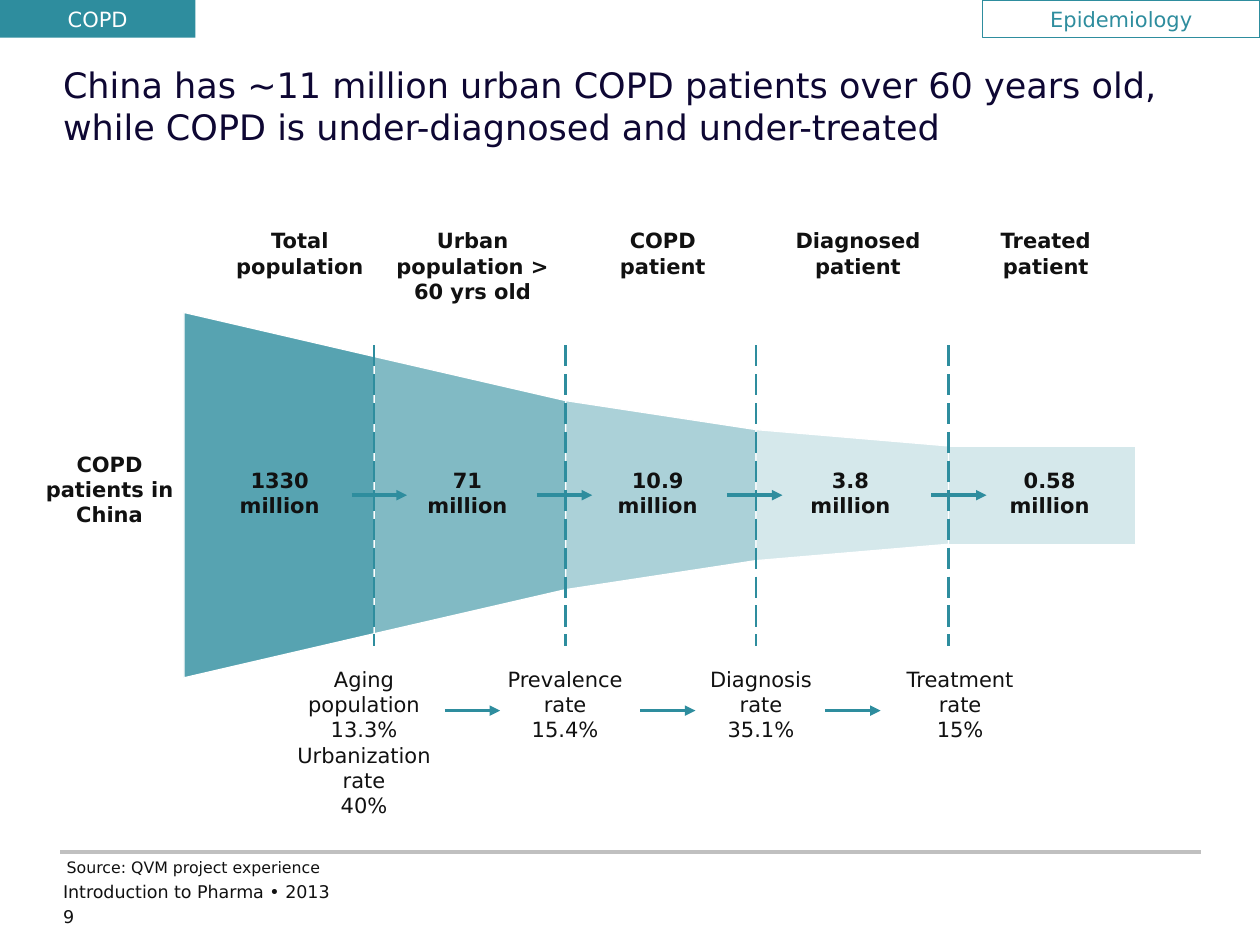
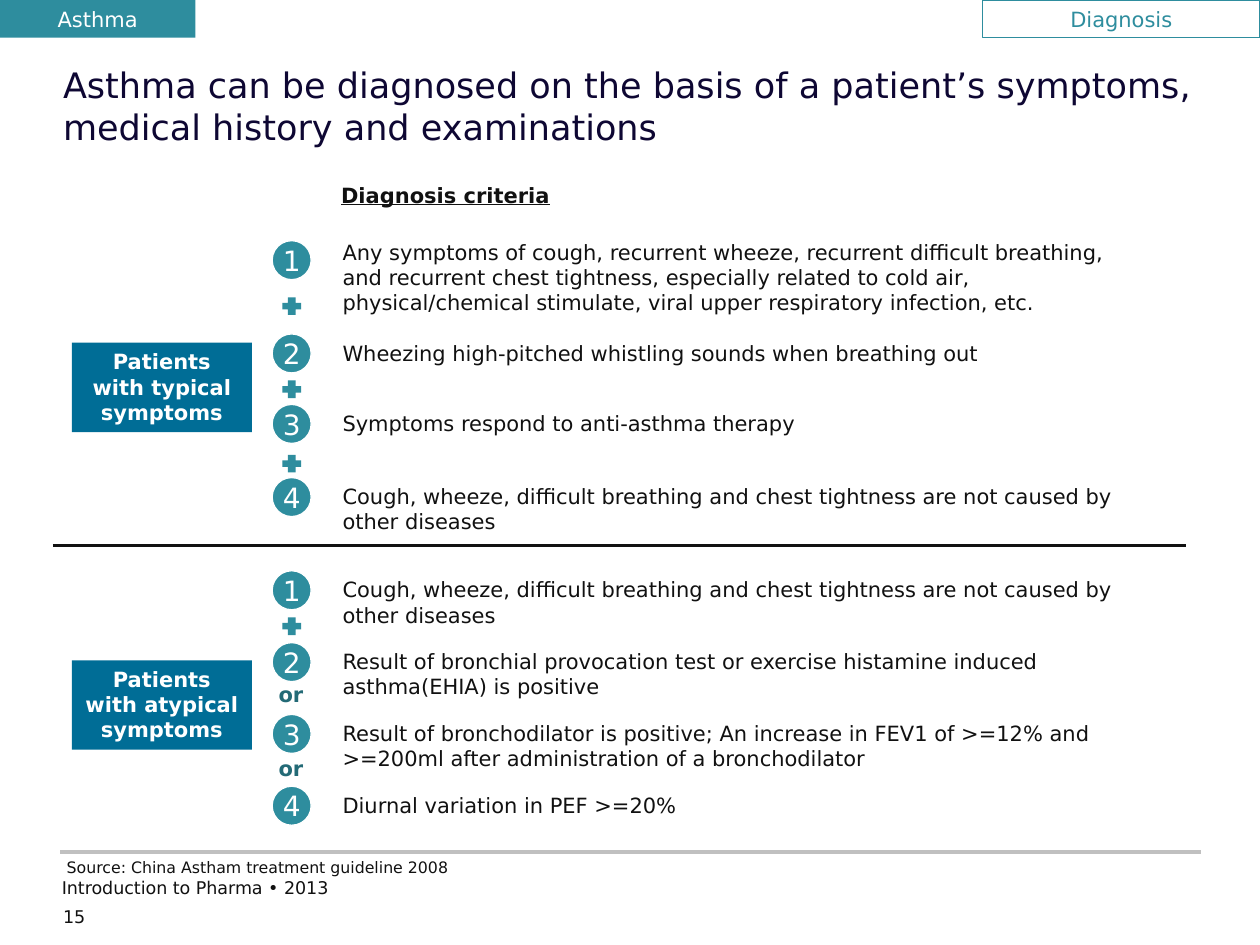
from dataclasses import dataclass
from itertools import pairwise

from lxml import etree
from pptx import Presentation
from pptx.dml.color import RGBColor
from pptx.enum.dml import MSO_LINE
from pptx.enum.shapes import MSO_CONNECTOR, MSO_SHAPE
from pptx.enum.text import MSO_ANCHOR, MSO_AUTO_SIZE, PP_ALIGN
from pptx.oxml.ns import qn
from pptx.util import Inches, Pt

RECT, OVAL, CROSS = MSO_SHAPE.RECTANGLE, MSO_SHAPE.OVAL, MSO_SHAPE.CROSS
LEFT, CENTER = PP_ALIGN.LEFT, PP_ALIGN.CENTER
TOP, MIDDLE = MSO_ANCHOR.TOP, MSO_ANCHOR.MIDDLE
STRAIGHT, LONG_DASH = MSO_CONNECTOR.STRAIGHT, MSO_LINE.LONG_DASH
TITLE_ONLY = 5


@dataclass(frozen=True)
class Theme:
    font: str = "DejaVu Sans"
    teal: str = "2E8D9E"
    dark_teal: str = "236A76"
    blue: str = "006D96"
    navy: str = "0E0733"
    ink: str = "111111"
    white: str = "FFFFFF"
    grey: str = "C0C0C0"
    title: int = 20
    number: int = 16
    body: int = 12
    footer: int = 10
    source: int = 9


T = Theme()


@dataclass(frozen=True)
class Frame:
    title: str
    topic: str
    section: str
    source: str
    page: str
    footer_left: float
    footer_top: float


@dataclass(frozen=True)
class Stage:
    heading: str
    heading_center: float
    heading_width: float
    value: str
    value_left: float
    opacity: int


@dataclass(frozen=True)
class Edge:
    x: float
    half_height: float


@dataclass(frozen=True)
class Rate:
    text: str
    left: float
    width: float
    height: float = 0.71


@dataclass(frozen=True)
class Criterion:
    text: str
    top: float
    height: float = 0.5
    circle_drop: float = 0.0
    joiner: str = ""
    joiner_top: float = 0.0


@dataclass(frozen=True)
class PatientGroup:
    label: str
    label_top: float
    criteria: tuple[Criterion, ...]


COPD = Frame(
    "China has ~11 million urban COPD patients over 60 years old, "
    "while COPD is under-diagnosed and under-treated",
    "COPD", "Epidemiology", "Source: QVM project experience", "9", 0.5, 6.99)
ASTHMA = Frame(
    "Asthma can be diagnosed on the basis of a patient’s symptoms, "
    "medical history and examinations",
    "Asthma", "Diagnosis", "Source: China Astham treatment guideline 2008",
    "15", 0.49, 6.96)

STAGES = (
    Stage("Total population", 2.38, 1.42, "1330 million", 1.73, 80),
    Stage("Urban population > 60 yrs old", 3.75, 1.42, "71 million", 3.22, 60),
    Stage("COPD patient", 5.26, 1.42, "10.9 million", 4.73, 40),
    Stage("Diagnosed patient", 6.81, 1.42, "3.8 million", 6.26, 20),
    Stage("Treated patient", 8.3, 1.53, "0.58 million", 7.84, 20),
)
EDGES = (Edge(1.46, 1.45), Edge(2.97, 1.1), Edge(4.49, 0.75),
         Edge(6, 0.52), Edge(7.53, 0.39), Edge(9.01, 0.39))
RATES = (
    Rate("Aging population\n13.3%\nUrbanization rate\n40%", 2.11, 1.56, 1.31),
    Rate("Prevalence rate\n15.4%", 3.78, 1.41),
    Rate("Diagnosis rate\n35.1%", 5.37, 1.34),
    Rate("Treatment rate\n15%", 6.98, 1.28),
)
FUNNEL_MIDDLE = 3.93
ARROW_LENGTH = 0.44
ARROWS = {FUNNEL_MIDDLE: (2.79, 4.26, 5.77, 7.39), 5.64: (3.53, 5.08, 6.55)}

OTHER_DISEASES = ("Cough, wheeze, difficult breathing and chest tightness "
                  "are not caused by other diseases")
GROUPS = (
    PatientGroup("Patients with typical symptoms", 2.72, (
        Criterion("Any symptoms of cough, recurrent wheeze, recurrent difficult "
                  "breathing, and recurrent chest tightness, especially related "
                  "to cold air, physical/chemical stimulate, viral upper "
                  "respiratory infection, etc.", 1.85, 0.71, 0.06, "+", 2.36),
        Criterion("Wheezing high-pitched whistling sounds when breathing out",
                  2.65, 0.3, joiner="+", joiner_top=3.02),
        Criterion("Symptoms respond to anti-asthma therapy",
                  3.21, 0.3, joiner="+", joiner_top=3.61),
        Criterion(OTHER_DISEASES, 3.79),
    )),
    PatientGroup("Patients with atypical symptoms", 5.24, (
        Criterion(OTHER_DISEASES, 4.53, joiner="+", joiner_top=4.9),
        Criterion("Result of bronchial provocation test or exercise histamine "
                  "induced asthma(EHIA) is positive",
                  5.1, joiner="or", joiner_top=5.36),
        Criterion("Result of bronchodilator is positive; An increase in FEV1 of "
                  ">=12% and >=200ml after administration of a bronchodilator",
                  5.67, joiner="or", joiner_top=5.95),
        Criterion("Diurnal variation in PEF >=20%", 6.24, 0.3),
    )),
)


def write(sp, text: str, size: int = T.body, color: str = T.ink,
          align=LEFT, anchor=TOP, inset: bool = True, **style) -> None:
    tf = sp.text_frame
    frame_format = {"word_wrap": True, "auto_size": MSO_AUTO_SIZE.NONE,
                    "vertical_anchor": anchor}
    if not inset:
        frame_format |= dict.fromkeys(
            ("margin_left", "margin_top", "margin_right", "margin_bottom"), 0)
    for name, value in frame_format.items():
        setattr(tf, name, value)
    font_format = {"name": T.font, "size": Pt(size)} | style
    for i, line in enumerate(text.split("\n")):
        p = tf.add_paragraph() if i else tf.paragraphs[0]
        p.alignment = align
        r = p.add_run()
        r.text = line
        for name, value in font_format.items():
            setattr(r.font, name, value)
        r.font.color.rgb = RGBColor.from_string(color)


def add_text(slide, box: tuple, text: str, **style) -> None:
    write(slide.shapes.add_textbox(*map(Inches, box)), text, **style)


def paint(sp, fill: str = "", line: str = "", opacity: int = 100) -> None:
    sp.shadow.inherit = False
    if fill:
        sp.fill.solid()
        sp.fill.fore_color.rgb = RGBColor.from_string(fill)
        if opacity < 100:
            color = sp.fill._xPr.find(qn("a:solidFill"))[0]
            etree.SubElement(color, qn("a:alpha"), val=str(opacity * 1000))
    else:
        sp.fill.background()
    if line:
        sp.line.color.rgb = RGBColor.from_string(line)
        sp.line.width = Pt(0.75)
    else:
        sp.line.fill.background()


def add_box(slide, kind, box: tuple, fill: str = "", line: str = ""):
    sp = slide.shapes.add_shape(kind, *map(Inches, box))
    paint(sp, fill, line)
    return sp


def add_line(slide, ends: tuple, color: str, width: float,
             dash=None, arrow: bool = False) -> None:
    sp = slide.shapes.add_connector(STRAIGHT, *map(Inches, ends))
    sp.line.color.rgb = RGBColor.from_string(color)
    sp.line.width = Pt(width)
    if dash:
        sp.line.dash_style = dash
    if arrow:
        etree.SubElement(sp.line._get_or_add_ln(), qn("a:tailEnd"),
                         type="triangle")
    etree.SubElement(sp._element.spPr, qn("a:effectLst"))


def add_frame(prs, frame: Frame):
    slide = prs.slides.add_slide(prs.slide_layouts[TITLE_ONLY])
    sp = slide.shapes.title
    title_box = {"left": 0.5, "top": 0.5, "width": 9, "height": 1}
    for name, value in title_box.items():
        setattr(sp, name, Inches(value))
    write(sp, frame.title, size=T.title, color=T.navy, inset=False)

    add_line(slide, (0.48, 6.76, 9.53, 6.76), T.grey, 2)
    add_text(slide, (0.53, 6.81, 6, 0.15), frame.source,
             size=T.source, inset=False)
    add_text(slide, (frame.footer_left, frame.footer_top, 6.68, 0.23),
             "Introduction to Pharma • 2013", size=T.footer, inset=False)
    add_text(slide, (0.5, 7.19, 0.48, 0.2), frame.page,
             size=T.footer, inset=False)

    sp = add_box(slide, RECT, (7.8, 0, 2.2, 0.3), line=T.teal)
    write(sp, frame.section, color=T.teal, align=CENTER, anchor=MIDDLE)
    sp = add_box(slide, RECT, (0, 0, 1.55, 0.3), fill=T.teal)
    write(sp, frame.topic, color=T.white, align=CENTER)
    return slide


def add_funnel_part(slide, start: Edge, end: Edge, opacity: int) -> None:
    corners = [(Inches(x), Inches(FUNNEL_MIDDLE + dy)) for x, dy in (
        (start.x, start.half_height), (end.x, end.half_height),
        (end.x, -end.half_height), (start.x, -start.half_height))]
    builder = slide.shapes.build_freeform(*corners[0])
    builder.add_line_segments(corners[1:], close=True)
    paint(builder.convert_to_shape(), T.teal, T.white, opacity)


def build_copd(prs) -> None:
    slide = add_frame(prs, COPD)
    for stage, (start, end) in zip(STAGES, pairwise(EDGES)):
        add_funnel_part(slide, start, end, stage.opacity)
    for edge in EDGES[1:-1]:
        add_line(slide, (edge.x, 2.74, edge.x, 5.13), T.teal, 1.5, LONG_DASH)
    for y, starts in ARROWS.items():
        for x in starts:
            add_line(slide, (x, y, x + ARROW_LENGTH, y), T.teal, 2, arrow=True)
    for stage in STAGES:
        left = stage.heading_center - stage.heading_width / 2
        add_text(slide, (left, 1.76, stage.heading_width, 0.71),
                 stage.heading, align=CENTER, bold=True)
        add_text(slide, (stage.value_left, 3.66, 0.98, 0.5), stage.value,
                 align=CENTER, bold=True)
    for rate in RATES:
        add_text(slide, (rate.left, 5.24, rate.width, rate.height), rate.text,
                 align=CENTER)
    add_text(slide, (0.34, 3.58, 1.06, 0.61), "COPD patients in China",
             align=CENTER, inset=False, bold=True)


def add_joiner(slide, text: str, top: float) -> None:
    if text == "+":
        sp = add_box(slide, CROSS, (2.24, top, 0.15, 0.14), fill=T.teal)
        sp.adjustments[0] = 0.317
    elif text:
        add_text(slide, (2.11, top + 0.05, 0.4, 0.2), text, color=T.dark_teal,
                 align=CENTER, inset=False, bold=True)


def build_asthma(prs) -> None:
    slide = add_frame(prs, ASTHMA)
    add_text(slide, (2.34, 1.4, 2.39, 0.3), "Diagnosis criteria",
             align=CENTER, bold=True, underline=True)
    add_line(slide, (0.42, 4.33, 9.41, 4.33), T.ink, 1.5)
    for group in GROUPS:
        sp = add_box(slide, RECT, (0.57, group.label_top, 1.43, 0.71), T.blue)
        write(sp, group.label, color=T.white, align=CENTER, bold=True)
        for number, item in enumerate(group.criteria, 1):
            add_text(slide, (2.62, item.top, 6.31, item.height), item.text)
            circle = (2.16, item.top + item.circle_drop, 0.31, 0.31)
            sp = add_box(slide, OVAL, circle, T.teal, T.white)
            write(sp, str(number), size=T.number, color=T.white,
                  align=CENTER, anchor=MIDDLE, inset=False)
            add_joiner(slide, item.joiner, item.joiner_top)


def main() -> None:
    prs = Presentation()
    prs.slide_width, prs.slide_height = Inches(10), Inches(7.5)
    build_copd(prs)
    build_asthma(prs)
    prs.save("out.pptx")


if __name__ == "__main__":
    main()
